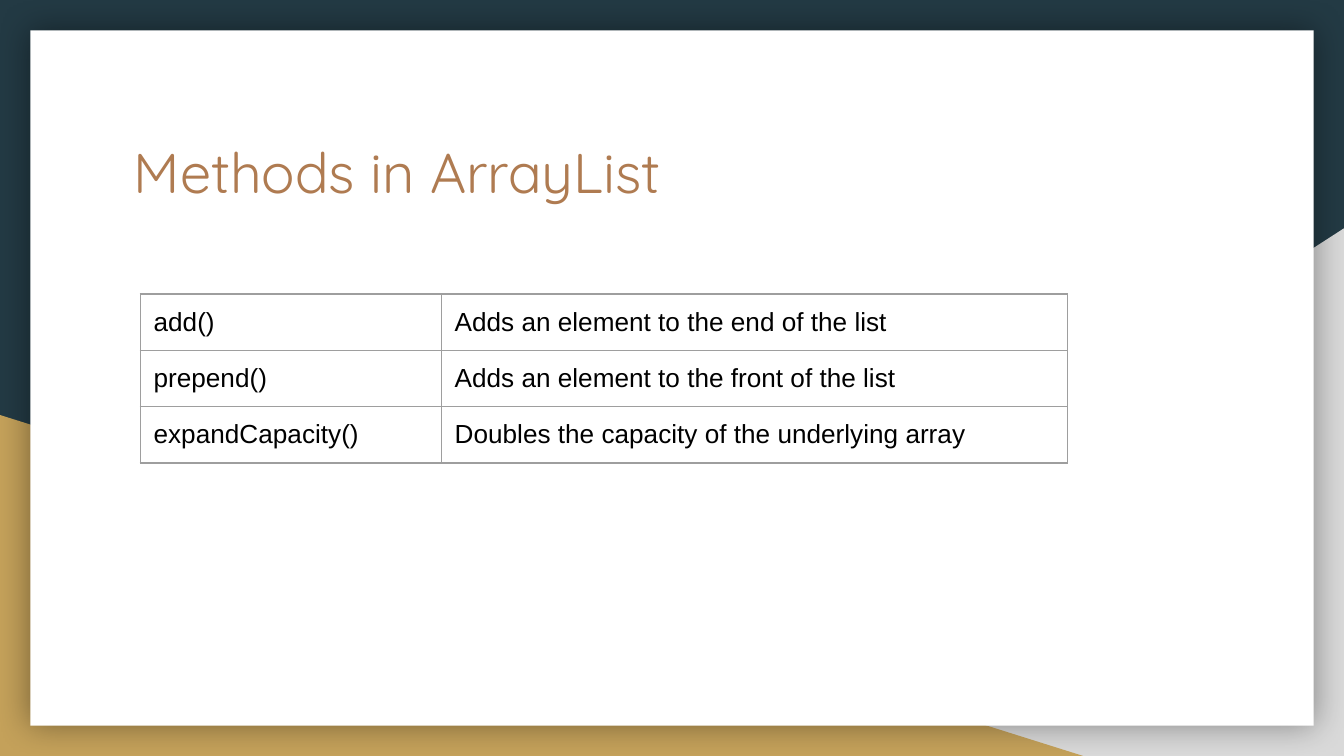
import pptx
import pptx.dml.color
import pptx.enum.shapes
import pptx.enum.text
import pptx.oxml
import pptx.util

NS = 'xmlns:a="http://schemas.openxmlformats.org/drawingml/2006/main"'
METHODS = [
    ("add()", "Adds an element to the end of the list"),
    ("prepend()", "Adds an element to the front of the list"),
    ("expandCapacity()", "Doubles the capacity of the underlying array"),
]


def paint(target, color):
    """Give a fill or a font one solid colour."""
    if hasattr(target, "solid"):
        target.solid()
        target = target.fore_color
    else:
        target = target.color
    target.rgb = pptx.dml.color.RGBColor.from_string(color)


def write(tf, text, color, **font):
    tf.word_wrap = True
    tf.vertical_anchor = pptx.enum.text.MSO_ANCHOR.TOP
    p = tf.paragraphs[0]
    p.alignment = pptx.enum.text.PP_ALIGN.LEFT
    r = p.add_run()
    r.text = text
    for name, value in font.items():
        setattr(r.font, name, value)
    paint(r.font, color)


prs = pptx.Presentation()
prs.slide_width = W = pptx.util.Inches(10)
prs.slide_height = H = W * 9 // 16
col, row = W / 100, H / 100  # grid of 100 columns and 100 rows
s = prs.slides.add_slide(prs.slide_layouts[5])
paint(s.background.fill, "233A44")

# Backdrop: two corner triangles behind a white card
triangle = pptx.enum.shapes.MSO_SHAPE.RIGHT_TRIANGLE
rectangle = pptx.enum.shapes.MSO_SHAPE.RECTANGLE
margin = 4 * row
backdrop = [
    (triangle, 39.2 * col, 30.2 * row, 60.8 * col, 69.8 * row, "D9D9D9"),
    (triangle, 0, 54.9 * row, 80.6 * col, 45.1 * row, "C4A15A"),
    (rectangle, margin, margin, W - 2 * margin, H - 2 * margin, "FFFFFF"),
]
shapes = []
for kind, *box, color in backdrop:
    sp = s.shapes.add_shape(kind, *map(int, box))
    sp.shadow.inherit = False
    paint(sp.fill, color)
    sp.line.fill.background()
    shapes.append(sp)
gray, gold, card = shapes
gray._element.spPr.xfrm.set("flipH", "1")
card._element.spPr.find(pptx.oxml.ns.qn("a:effectLst")).append(pptx.oxml.parse_xml(
    f'<a:outerShdw {NS} blurRad="{pptx.util.Pt(18)}" dist="0" dir="0" algn="ctr" '
    'rotWithShape="0"><a:srgbClr val="000000"><a:alpha val="40000"/></a:srgbClr></a:outerShdw>'))

# Title, brought in front of the card
title = s.shapes.title
s.shapes._spTree.append(title._element)
frame = {"left": 8.95 * col, "top": 16.4 * row, "width": 82.1 * col, "height": 18.5 * row}
for name, value in frame.items():
    setattr(title, name, int(value))
tf = title.text_frame
tf.auto_size = pptx.enum.text.MSO_AUTO_SIZE.NONE
for side in ("left", "top", "right", "bottom"):
    setattr(tf, f"margin_{side}", pptx.util.Inches(0.1))
write(tf, "Methods in ArrayList", "AF7B51", name="Quicksand", size=pptx.util.Pt(30))

# Table of methods
columns = [int(22.4 * col), int(46.6 * col)]
row_height = int(7.4 * row)
table = s.shapes.add_table(
    len(METHODS), len(columns), int(10.43 * col), int(38.9 * row),
    sum(columns), row_height * len(METHODS)).table
table.first_row = table.horz_banding = False
for column, width in zip(table.columns, columns):
    column.width = width
for i, texts in enumerate(METHODS):
    for j, text in enumerate(texts):
        cell = table.cell(i, j)
        for side in ("left", "top", "right", "bottom"):
            setattr(cell, f"margin_{side}", pptx.util.Inches(0.1))
        write(cell.text_frame, text, "000000", name="Arial", size=pptx.util.Pt(14))
        cell.vertical_anchor = pptx.enum.text.MSO_ANCHOR.TOP
        tcPr = cell._tc.get_or_add_tcPr()
        for edge in ("lnL", "lnR", "lnT", "lnB"):
            tcPr.append(pptx.oxml.parse_xml(
                f'<a:{edge} {NS} w="{pptx.util.Pt(0.75)}"><a:solidFill>'
                f'<a:srgbClr val="9E9E9E"/></a:solidFill></a:{edge}>'))
        cell.fill.background()

prs.save("out.pptx")
